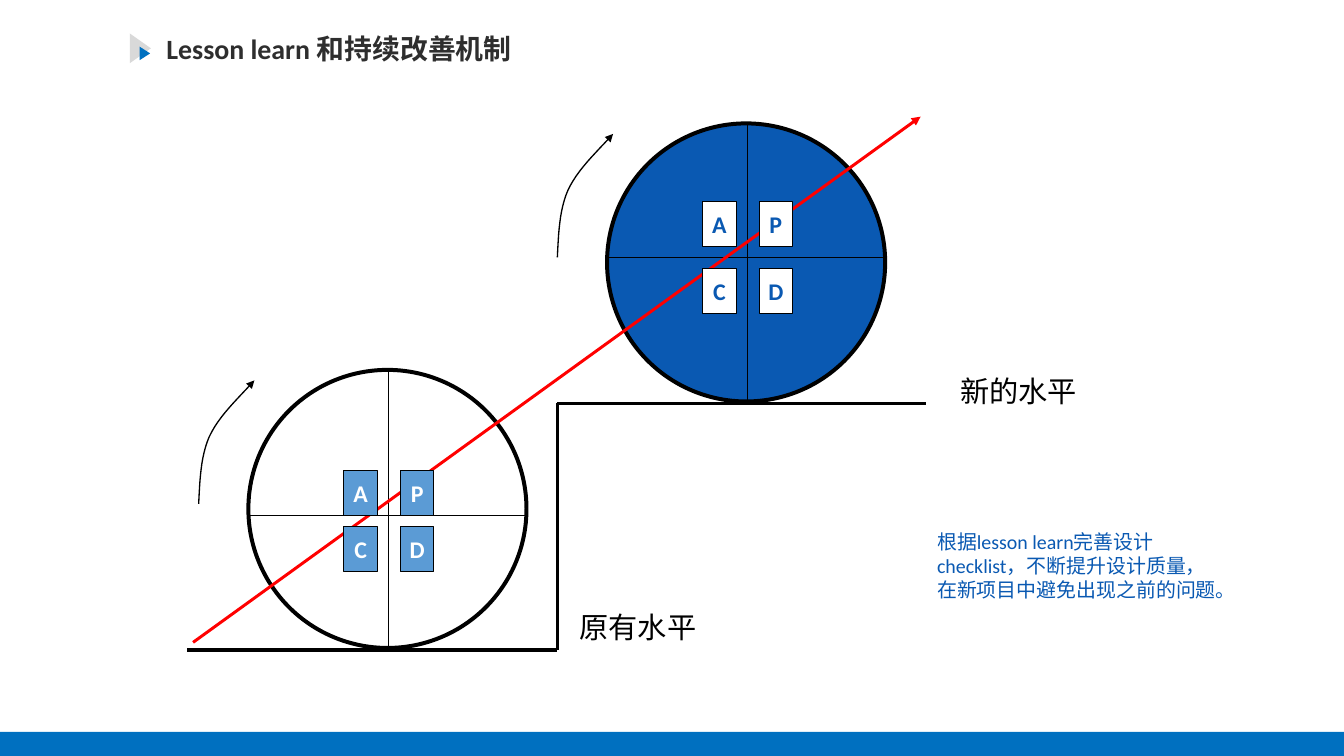
import pptx
import pptx.util
import pptx.dml.color
import pptx.enum.shapes
import pptx.enum.text
import pptx.oxml.ns
import lxml.etree

Cm = pptx.util.Cm
Pt = pptx.util.Pt
Kind = pptx.enum.shapes.MSO_SHAPE
Align = pptx.enum.text.PP_ALIGN
Anchor = pptx.enum.text.MSO_ANCHOR
qn = pptx.oxml.ns.qn


def hue(code):
    return pptx.dml.color.RGBColor.from_string(code)


def write(shape, text, size, color, bold=False, wrap=False,
          align=Align.LEFT, anchor=Anchor.TOP, pad=(0.36, 0.18)):
    frame = shape.text_frame
    frame.word_wrap = wrap
    frame.auto_size = pptx.enum.text.MSO_AUTO_SIZE.NONE
    frame.vertical_anchor = anchor
    frame.margin_left = frame.margin_right = Cm(pad[0])
    frame.margin_top = frame.margin_bottom = Cm(pad[1])
    para = frame.paragraphs[0]
    para.alignment = align
    run = para.add_run()
    run.text = text
    run.font.name = "Calibri"
    run.font.size = Pt(size)
    run.font.bold = bold
    run.font.color.rgb = hue(color)


deck = pptx.Presentation()
deck.slide_width = Cm(35.71)
deck.slide_height = Cm(20.09)
slide = deck.slides.add_slide(deck.slide_layouts[5])
shapes = slide.shapes

BLACK, WHITE, BLUE, SKY, RED = "000000", "FFFFFF", "0A59B2", "5B9BD5", "FF0000"
side = 7.39
wheels = [
    dict(x=6.6, y=9.83, axis=13.69, rows=(12.5, 14), fill=None, tile=SKY, ink=WHITE),
    dict(x=16.13, y=3.28, axis=6.83, rows=(5.36, 7.14), fill=BLUE, tile=WHITE, ink=BLUE),
]
lines = [
    (4.98, 17.27, 14.81, 17.27, BLACK, 2.5),
    (14.81, 17.27, 14.81, 10.72, BLACK, 2.5),
    (14.81, 10.72, 24.61, 10.72, BLACK, 2.5),
]

for wheel in wheels:
    x, y, axis = wheel["x"], wheel["y"], wheel["axis"]
    disc = shapes.add_shape(Kind.OVAL, Cm(x), Cm(y), Cm(side), Cm(side))
    disc.shadow.inherit = False
    disc.line.color.rgb = hue(BLACK)
    disc.line.width = Pt(3)
    if wheel["fill"]:
        disc.fill.solid()
        disc.fill.fore_color.rgb = hue(wheel["fill"])
    else:
        disc.fill.background()
    lines.append((x, axis, x + side, axis, BLACK, 0.75))
    lines.append((x + 3.73, y, x + 3.73, y + 7.44, BLACK, 0.75))

lines.append((5.13, 17.07, 24.46, 3.1, RED, 2.25))
for x1, y1, x2, y2, color, width in lines:
    line = shapes.add_connector(
        pptx.enum.shapes.MSO_CONNECTOR.STRAIGHT, Cm(x1), Cm(y1), Cm(x2), Cm(y2))
    line.line.color.rgb = hue(color)
    line.line.width = Pt(width)
    lxml.etree.SubElement(line._element.spPr, qn("a:effectLst"))
arrows = [line]

bends = [
    [(-1.32, 3.56), (-1.29, 2.95), (-1.27, 2.31), (-1.04, 1.78)],
    [(-1.04, 1.78), (-0.78, 1.22), (-0.3, 0.79), (0.16, 0.28)],
]
steps = 12
for wheel in wheels:
    dots = []
    for bend in bends:
        for step in range(steps + 1):
            t = step / steps
            parts = ((1 - t) ** 3, 3 * t * (1 - t) ** 2, 3 * t * t * (1 - t), t ** 3)
            dx = sum(part * dot[0] for part, dot in zip(parts, bend))
            dy = sum(part * dot[1] for part, dot in zip(parts, bend))
            dots.append((Cm(wheel["x"] + dx), Cm(wheel["y"] + dy)))
    pen = shapes.build_freeform(*dots[0])
    pen.add_line_segments(dots[1:], close=False)
    curve = pen.convert_to_shape()
    curve.shadow.inherit = False
    curve.fill.background()
    curve.line.color.rgb = hue(BLACK)
    curve.line.width = Pt(1)
    arrows.append(curve)

for arrow in arrows:
    lxml.etree.SubElement(arrow.line._get_or_add_ln(), qn("a:tailEnd"), type="triangle")

for text, x, y in [("原有水平", 15.04, 16), ("新的水平", 25.15, 9.75)]:
    label = shapes.add_textbox(Cm(x), Cm(y), Cm(3.94), Cm(1.32))
    write(label, text, size=22, color=BLACK)

for wheel in wheels:
    for i, mark in enumerate("APCD"):
        row, col = divmod(i, 2)
        tile = shapes.add_shape(
            Kind.RECTANGLE, Cm(wheel["x"] + 2.54 + 1.5 * col), Cm(wheel["rows"][row]),
            Cm(0.89), Cm(1.19))
        tile.shadow.inherit = False
        tile.fill.solid()
        tile.fill.fore_color.rgb = hue(wheel["tile"])
        tile.line.color.rgb = hue(BLACK)
        tile.line.width = Pt(0.75)
        write(tile, mark, size=18, color=wheel["ink"], bold=True,
              align=Align.CENTER, anchor=Anchor.MIDDLE)

note = shapes.add_textbox(Cm(24.54), Cm(13.89), Cm(8.33), Cm(2.29))
write(note, "根据lesson learn完善设计checklist，不断提升设计质量，在新项目中避免出现之前的问题。",
      size=15, color=BLUE, wrap=True)

title = shapes.title
title.left, title.top, title.width, title.height = Cm(4.17), Cm(0.71), Cm(9.8), Cm(1.17)
write(title, "Lesson learn 和持续改善机制", size=21, color="2E2E2E", bold=True,
      wrap=True, pad=(0.25, 0.13))

badge = shapes.add_group_shape()
for home, kind, x, y, wide, high, color in [
    (badge, Kind.RIGHT_ARROW, 3.45, 0.89, 0.56, 0.79, "D9D9D9"),
    (badge, Kind.RIGHT_ARROW, 3.71, 1.24, 0.28, 0.36, "0070C0"),
    (slide, Kind.RECTANGLE, 0, 19.45, 35.71, 0.64, "0070C0"),
]:
    block = home.shapes.add_shape(kind, Cm(x), Cm(y), Cm(wide), Cm(high))
    block.shadow.inherit = False
    block.fill.solid()
    block.fill.fore_color.rgb = hue(color)
    block.line.fill.background()
    if kind == Kind.RIGHT_ARROW:
        block.adjustments[0] = 0.5
        block.adjustments[1] = 1

deck.save("out.pptx")
